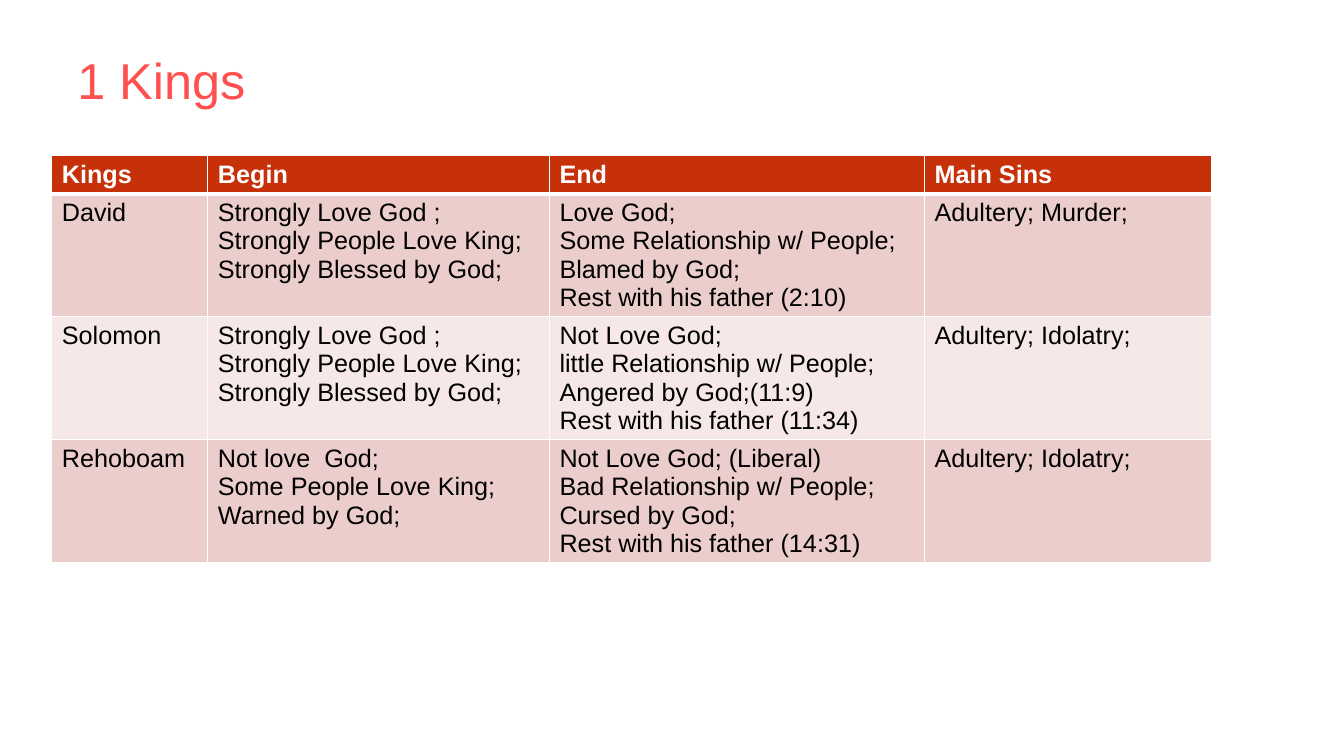
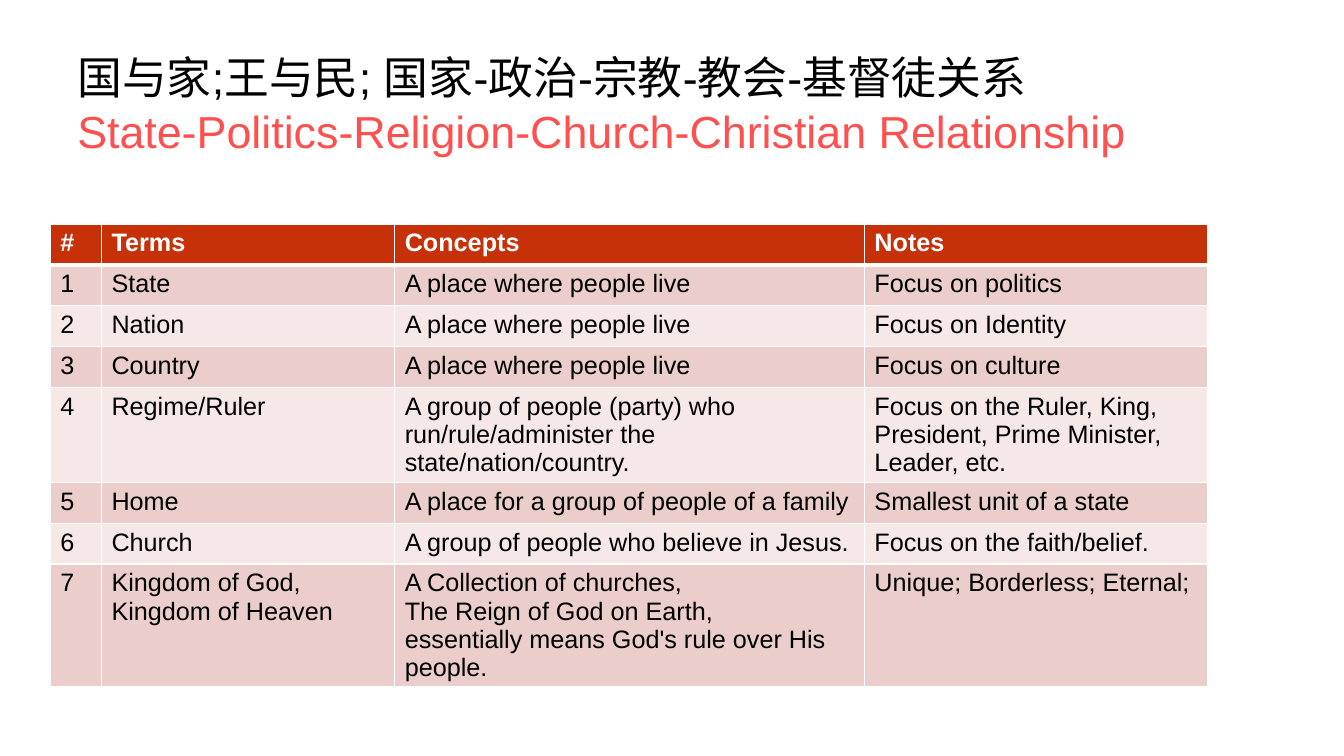
from lxml.etree import SubElement
from pptx import Presentation
from pptx.dml.color import RGBColor
from pptx.enum.text import MSO_ANCHOR, MSO_AUTO_SIZE, PP_ALIGN
from pptx.oxml.ns import qn
from pptx.util import Pt

FONT = "Arial"
WHITE, BLACK, CORAL = "FFFFFF", "000000", "FF5050"
HEADER_FILL = "C73109"
BAND_FILLS = ("EBCECC", "F5E8E7")
TABLE_SIZE = 18
THIN, THICK = 1, 3

KINGS = [
    ("Kings", "Begin", "End", "Main Sins"),
    ("David",
     "Strongly Love God ;\nStrongly People Love King;\nStrongly Blessed by God;",
     "Love God;\nSome Relationship w/ People;\nBlamed by God;\nRest with his father (2:10)",
     "Adultery; Murder;"),
    ("Solomon",
     "Strongly Love God ;\nStrongly People Love King;\nStrongly Blessed by God;",
     "Not Love God;\nlittle Relationship w/ People;\nAngered by God;(11:9)\nRest with his father (11:34)",
     "Adultery; Idolatry;"),
    ("Rehoboam",
     "Not love  God;\nSome People Love King;\nWarned by God;",
     "Not Love God; (Liberal)\nBad Relationship w/ People;\nCursed by God;\nRest with his father (14:31)",
     "Adultery; Idolatry;"),
]

TERMS = [
    ("#", "Terms", "Concepts", "Notes"),
    ("1", "State", "A place where people live", "Focus on politics"),
    ("2", "Nation", "A place where people live", "Focus on Identity"),
    ("3", "Country", "A place where people live", "Focus on culture"),
    ("4", "Regime/Ruler",
     "A group of people (party) who run/rule/administer the state/nation/country.",
     "Focus on the Ruler, King, President, Prime Minister, Leader, etc."),
    ("5", "Home", "A place for a group of people of a family", "Smallest unit of a state"),
    ("6", "Church", "A group of people who believe in Jesus.", "Focus on the faith/belief."),
    ("7", "Kingdom of God,\nKingdom of Heaven",
     "A Collection of churches,\nThe Reign of God on Earth,\n"
     "essentially means God's rule over His people.",
     "Unique; Borderless; Eternal;"),
]


def rgb(value):
    return RGBColor.from_string(value)


def write_lines(frame, lines, size, bold=False):
    """Write (text, colour) pairs, one paragraph each."""
    for index, (text, color) in enumerate(lines):
        paragraph = frame.add_paragraph() if index else frame.paragraphs[0]
        paragraph.alignment = PP_ALIGN.LEFT
        run = paragraph.add_run()
        run.text = text
        font = run.font
        font.name, font.size, font.bold = FONT, Pt(size), bold
        font.color.rgb = rgb(color)


def place_title(slide, box, lines, size):
    title = slide.shapes.title
    title.left, title.top, title.width, title.height = map(Pt, box)
    frame = title.text_frame
    frame.word_wrap = True
    frame.auto_size = MSO_AUTO_SIZE.NONE
    frame.vertical_anchor = MSO_ANCHOR.MIDDLE
    write_lines(frame, lines, size)


def set_borders(cell, top, bottom):
    properties = cell._tc.get_or_add_tcPr()
    for side, width in (("L", THIN), ("R", THIN), ("T", top), ("B", bottom)):
        line = SubElement(properties, qn(f"a:ln{side}"), w=str(Pt(width)))
        SubElement(SubElement(line, qn("a:solidFill")), qn("a:srgbClr"), val=WHITE)


def place_table(slide, left, top, widths, row_height, rows):
    """Rows start at row_height and grow with their text."""
    table = slide.shapes.add_table(
        len(rows), len(widths), Pt(left), Pt(top),
        Pt(sum(widths)), Pt(row_height * len(rows))).table
    table.horz_banding = False
    for column, width in zip(table.columns, widths):
        column.width = Pt(width)
    for r, texts in enumerate(rows):
        header = r == 0
        fill = HEADER_FILL if header else BAND_FILLS[(r - 1) % 2]
        color = WHITE if header else BLACK
        for c, text in enumerate(texts):
            cell = table.cell(r, c)
            set_borders(cell, top=THICK if r == 1 else THIN,
                        bottom=THICK if header else THIN)
            cell.fill.solid()
            cell.fill.fore_color.rgb = rgb(fill)
            lines = [(line, color) for line in text.split("\n")]
            write_lines(cell.text_frame, lines, TABLE_SIZE, bold=header)


def add_table_slide(deck, title_lines, title_size, title_height, **table):
    slide = deck.slides.add_slide(deck.slide_layouts.get_by_name("Title Only"))
    place_title(slide, (48, 15, 864, title_height), title_lines, title_size)
    place_table(slide, **table)


def main():
    deck = Presentation()
    deck.slide_width, deck.slide_height = Pt(960), Pt(540)
    add_table_slide(
        deck, [("1 Kings", CORAL)], 36, 83,
        left=37, top=111, widths=(111.5, 244, 268, 205), row_height=21, rows=KINGS)
    add_table_slide(
        deck,
        [("国与家;王与民; 国家-政治-宗教-教会-基督徒关系", BLACK),
         ("State-Politics-Religion-Church-Christian Relationship", CORAL)], 32, 117.5,
        left=36, top=160, widths=(36.5, 209.5, 335.5, 245.5), row_height=29.2, rows=TERMS)
    deck.save("out.pptx")


if __name__ == "__main__":
    main()
